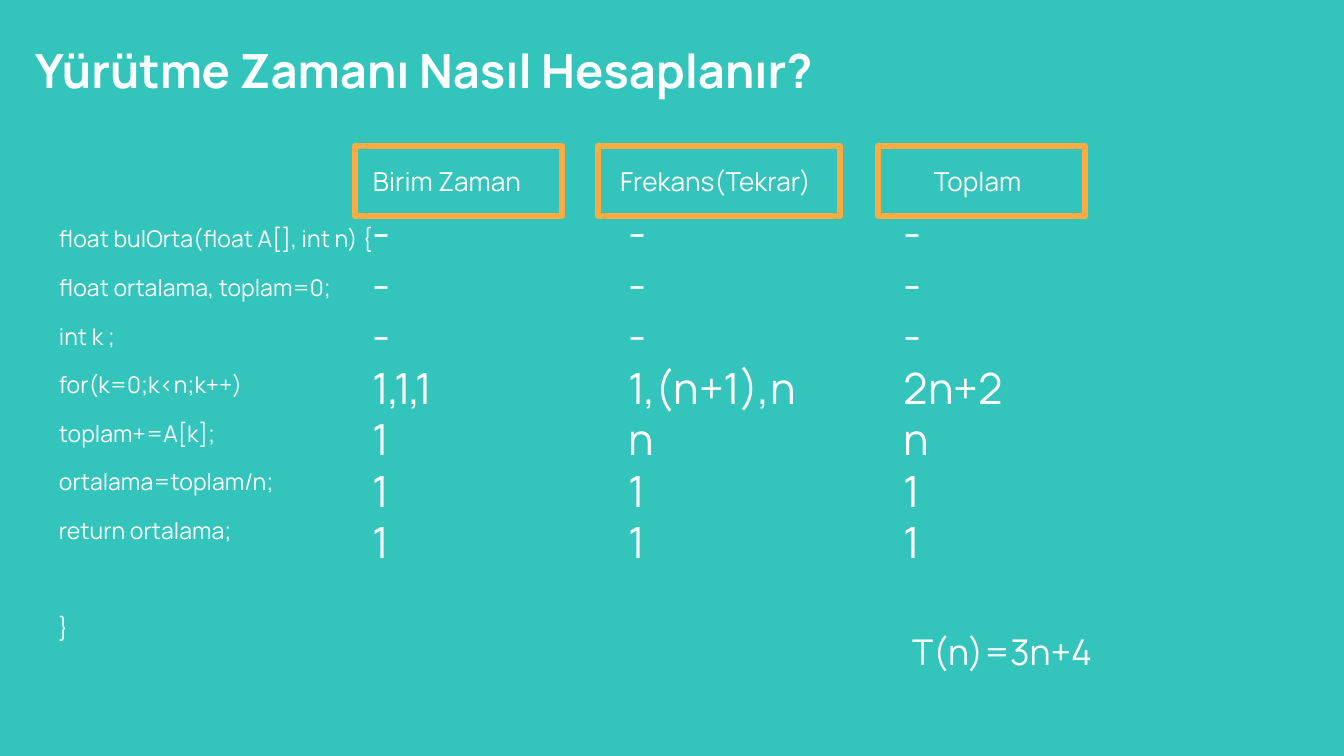
from pptx import Presentation
from pptx.dml.color import RGBColor
from pptx.enum.shapes import MSO_SHAPE
from pptx.enum.text import MSO_ANCHOR, MSO_AUTO_SIZE, PP_ALIGN
from pptx.util import Emu, Pt

WHITE = "FFFFFF"
ORANGE = "FFAB40"
TEAL = "33C5BC"
INSET = 13

CODE_LINES = [
    "float bulOrta(float A[], int n) {",
    "float ortalama, toplam=0;",
    "int k ;",
    "for(k=0;k<n;k++)",
    "toplam+=A[k];",
    "ortalama=toplam/n;",
    "return ortalama;",
    "}",
]
COLUMNS = [
    {"label": "Birim Zaman", "label_box": (360, 220), "frame": (355, 207),
     "value_box": (360, 292), "values": ["-", "-", "-", "1,1,1", "1", "1", "1"]},
    {"label": "Frekans(Tekrar)", "label_box": (607, 257), "frame": (598, 242),
     "value_box": (616, 341), "values": ["-", "-", "-", "1,(n+1),n", "n", "1", "1"]},
    {"label": "Toplam", "label_box": (921, 207), "frame": (878, 207),
     "value_box": (891, 220), "values": ["-", "-", "-", "2n+2", "n", "1", "1"]},
]


def px(length):
    return Emu(round(length * 914400 / 134.4))


def color(value):
    return RGBColor.from_string(value)


def apply(target, formats):
    for name, value in formats.items():
        setattr(target, name, value)


class SlideBuilder:
    """Hold the text style and the slide being built."""

    def __init__(self, slide, font_name="Manrope", text_color=WHITE):
        self.slide = slide
        self.font_name = font_name
        self.text_color = text_color

    def background(self, fill_color):
        fill = self.slide.background.fill
        fill.solid()
        fill.fore_color.rgb = color(fill_color)

    def fill_text(self, shape, lines, size, bold=False, top_inset=INSET,
                  anchor=MSO_ANCHOR.TOP, auto_size=MSO_AUTO_SIZE.NONE):
        frame = shape.text_frame
        frame.text = "\n".join(lines)
        apply(frame, {
            "word_wrap": True, "auto_size": auto_size, "vertical_anchor": anchor,
            "margin_left": px(INSET), "margin_right": px(INSET),
            "margin_top": px(top_inset), "margin_bottom": px(INSET),
        })
        for paragraph in frame.paragraphs:
            paragraph.alignment = PP_ALIGN.LEFT
            apply(paragraph.font, {"name": self.font_name, "size": Pt(size), "bold": bold})
            paragraph.font.color.rgb = color(self.text_color)
        return frame.paragraphs

    def title(self, text, left, top, width, height, size):
        shape = self.slide.shapes.title
        apply(shape, {"left": px(left), "top": px(top),
                      "width": px(width), "height": px(height)})
        self.fill_text(shape, [text], size, bold=True, anchor=MSO_ANCHOR.MIDDLE)

    def text(self, lines, left, top, width, height, size, **options):
        shape = self.slide.shapes.add_textbox(px(left), px(top), px(width), px(height))
        return self.fill_text(shape, lines, size, **options)

    def code(self, lines, left, top, width, height, size, top_inset):
        paragraphs = self.text(lines, left, top, width, height, size, top_inset=top_inset)
        for paragraph in paragraphs:
            paragraph.line_spacing = 0.95
        for paragraph in paragraphs[1:]:
            paragraph.space_before = Pt(12)
        paragraphs[-1].space_before = Pt(38)

    def frame(self, left, top, width, height, line_color):
        shape = self.slide.shapes.add_shape(
            MSO_SHAPE.RECTANGLE, px(left), px(top), px(width), px(height))
        shape.shadow.inherit = False
        shape.fill.background()
        shape.line.color.rgb = color(line_color)
        shape.line.width = Pt(3)


def main():
    presentation = Presentation()
    apply(presentation, {"slide_width": px(1344), "slide_height": px(756)})
    slide = presentation.slides.add_slide(presentation.slide_layouts[5])
    builder = SlideBuilder(slide)
    builder.background(TEAL)
    builder.title("Yürütme Zamanı Nasıl Hesaplanır?", 22, 27, 1253, 85, 25.2)
    builder.code(CODE_LINES, 46, 169, 501, 503, 12.3, top_inset=58)

    grow = MSO_AUTO_SIZE.SHAPE_TO_FIT_TEXT
    for column in COLUMNS:
        left, width = column["value_box"]
        builder.text(column["values"], left, 194, width, 423, 23, auto_size=grow)
    builder.text(["T(n)=3n+4"], 899, 617, 384, 70, 19, auto_size=grow)
    for column in COLUMNS:
        left, width = column["label_box"]
        builder.text([column["label"]], left, 152, width, 59, 14, auto_size=grow)
    for column in COLUMNS:
        left, width = column["frame"]
        builder.frame(left, 146, width, 70, ORANGE)
    presentation.save("out.pptx")


if __name__ == "__main__":
    main()
